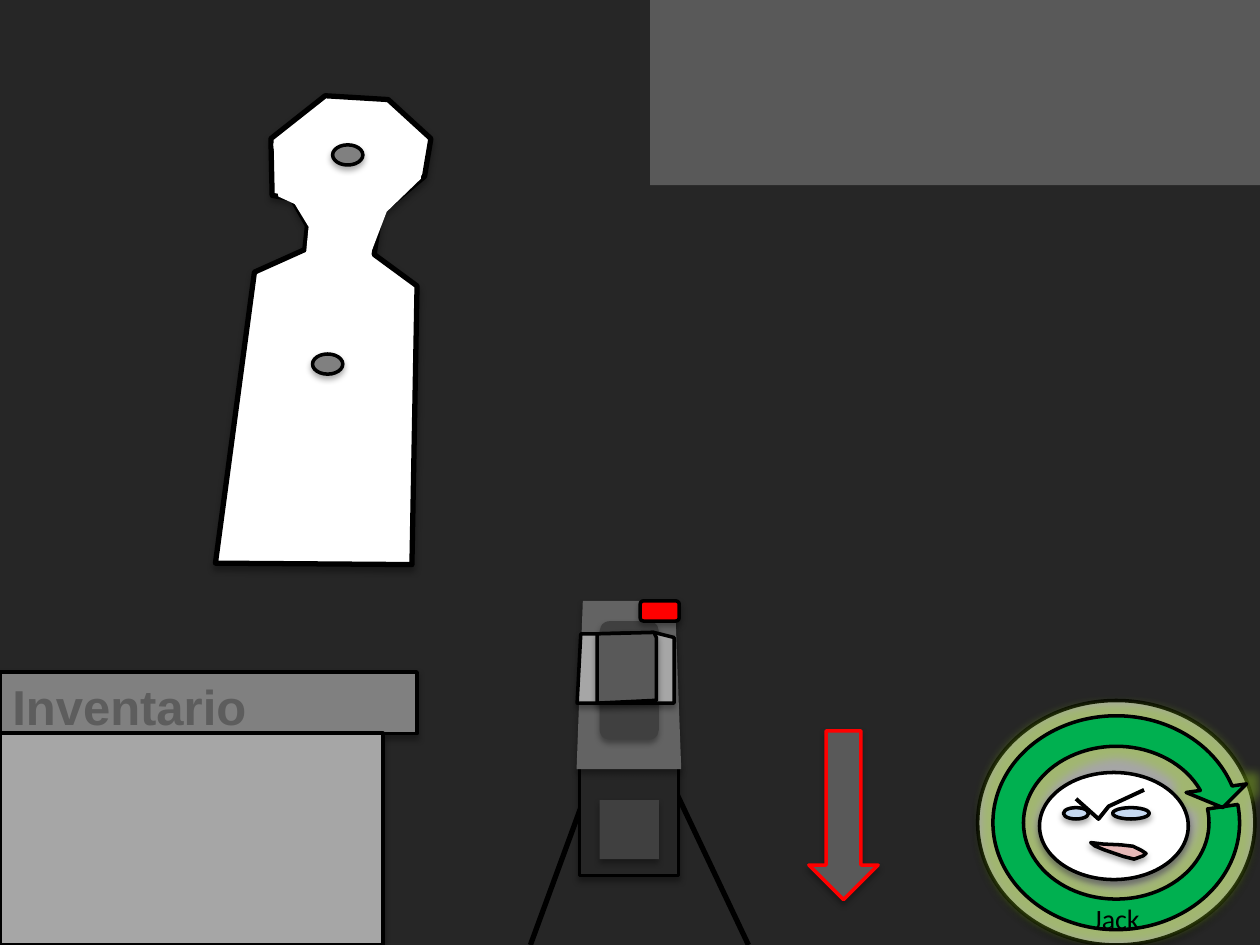
from lxml.etree import SubElement
from pptx import Presentation
from pptx.dml.color import RGBColor
from pptx.enum.shapes import MSO_CONNECTOR, MSO_SHAPE as PRESET
from pptx.enum.text import MSO_ANCHOR, PP_ALIGN
from pptx.oxml.ns import qn
from pptx.util import Pt

BLACK = RGBColor(0x00, 0x00, 0x00)
WHITE = RGBColor(0xFF, 0xFF, 0xFF)
ROOM = RGBColor(0x26, 0x26, 0x26)
DARK = RGBColor(0x40, 0x40, 0x40)
SLATE = RGBColor(0x59, 0x59, 0x59)
LETTER = RGBColor(0x5D, 0x5D, 0x5D)
STEEL = RGBColor(0x63, 0x63, 0x63)
GREY = RGBColor(0x80, 0x80, 0x80)
LIGHT = RGBColor(0xA6, 0xA6, 0xA6)
RED = RGBColor(0xFF, 0x00, 0x00)
GREEN = RGBColor(0x00, 0xB0, 0x50)
EYE = RGBColor(0xC6, 0xD9, 0xF1)
LIP = RGBColor(0xE6, 0xB9, 0xB8)

prs = Presentation()
prs.slide_width, prs.slide_height = Pt(720), Pt(540)
slide = prs.slides.add_slide(prs.slide_layouts[6])
slide.background.fill.solid()
slide.background.fill.fore_color.rgb = ROOM
shapes = slide.shapes


def draw(geometry, place, fill, line=BLACK, width=2, shadow=True):
    if geometry in ("closed", "open"):
        points = [(Pt(x), Pt(y)) for x, y in place]
        builder = shapes.build_freeform(*points[0], scale=1.0)
        builder.add_line_segments(points[1:], close=geometry == "closed")
        shape = builder.convert_to_shape()
    else:
        shape = shapes.add_shape(geometry, *map(Pt, place))
    for paint, color in ((shape.fill, fill), (shape.line.fill, line)):
        if color is None:
            paint.background()
        else:
            paint.solid()
            paint.fore_color.rgb = color
    if line is not None:
        shape.line.width = Pt(width)
    shape.shadow.inherit = False
    if shadow:
        add_effect(shape, "a:outerShdw", BLACK, 32, blurRad=Pt(3.5),
                   dist=Pt(2.2), dir=90 * 60000, rotWithShape=0)
    return shape


def add_effect(shape, tag, color, alpha, **settings):
    effects = shape.element.spPr.find(qn("a:effectLst"))
    effect = SubElement(effects, qn(tag), {key: str(int(value)) for key, value in settings.items()})
    tint = SubElement(effect, qn("a:srgbClr"), val=str(color))
    SubElement(tint, qn("a:alpha"), val=str(alpha * 1000))
    return effect


draw(PRESET.RECTANGLE, (0, 384, 238.3, 35.3), GREY)
draw(PRESET.RECTANGLE, (0, 419, 218.9, 121), LIGHT)

target = [(123.1, 321.8), (235.4, 322.6), (238.3, 163.4), (213.8, 145.4), (217.4, 121.7),
          (242.6, 100.8), (246.2, 79.2), (221.8, 56.9), (185.8, 54.7), (154.8, 79.2),
          (155.5, 111.6), (167, 113.8), (175.7, 128.9), (174.2, 142.6), (145.4, 155.5)]
head = [(175, 144), (176.4, 129.6), (168.5, 116.6), (159.1, 112.3), (156.2, 82.1),
        (184.3, 60.5), (219.6, 60.5), (242.6, 82.1), (240.5, 102.2), (221, 121), (211.7, 145.4)]
draw("closed", target, WHITE, width=3)
draw("closed", head, WHITE, line=None, shadow=False)
for hole_left, hole_top in ((178.6, 202.3), (190.1, 82.8)):
    draw(PRESET.OVAL, (hole_left, hole_top, 17.3, 11.5), GREY)

badge = (558.7, 400.3, 158.4, 139.7)
draw(PRESET.OVAL, badge, LIGHT)
ring = draw(PRESET.CIRCULAR_ARROW, badge, GREEN, shadow=False)
for index, value in enumerate((0.125, 6.582, 204.577, 210.876, 0.125)):
    ring.adjustments[index] = value
add_effect(ring, "a:glow", RGBColor(0x9A, 0xD0, 0x21), 40, rad=Pt(11))
draw(PRESET.OVAL, (594, 441.4, 85, 61.2), WHITE)
mouth = draw("closed", [(622.8, 483.8), (630, 483.6), (640, 482.6), (647, 482.4), (652, 484),
                        (655, 485.4), (653.5, 487), (648.7, 489.6), (642.2, 488.9),
                        (631, 486.8), (625.5, 485.4)], LIP)
mouth.rotation = 8.3
draw("open", [(614.9, 456.5), (627.8, 468), (633.6, 460.8), (653.8, 451.4)], None,
     width=2.25, shadow=False)
for eye_left, eye_width in ((635.8, 20.9), (607.7, 14.4)):
    draw(PRESET.OVAL, (eye_left, 461.5, eye_width, 6.5), EYE)

for start_x, start_y, foot_x in ((382.3, 444.2, 427.7), (337.7, 445.7, 303.1)):
    leg = shapes.add_connector(MSO_CONNECTOR.STRAIGHT, Pt(start_x), Pt(start_y), Pt(foot_x), Pt(540))
    leg.line.color.rgb = BLACK
    leg.line.width = Pt(3)
    SubElement(leg.element.spPr, qn("a:effectLst"))

draw(PRESET.RECTANGLE, (331.2, 438.5, 56.6, 61.9), ROOM)
barrel = draw(PRESET.TRAPEZOID, (329.5, 343.4, 59.8, 96.2), STEEL, line=None)
barrel.adjustments[0] = 0.06
draw(PRESET.RECTANGLE, (342.7, 457.2, 33.8, 33.8), DARK, line=None)
draw(PRESET.ROUNDED_RECTANGLE, (342.7, 355, 33.8, 67.7), DARK, line=None)
draw("closed", [(329.8, 401.8), (385.2, 401.8), (385.2, 364.3), (373.7, 361.4),
                (342.7, 362.2), (331.9, 362.2)], LIGHT)
draw("closed", [(341.3, 362.2), (341.3, 401.8), (373, 400.3), (375.1, 400.3),
                (375.1, 364.3), (373.7, 361.4)], SLATE)
draw(PRESET.ROUNDED_RECTANGLE, (365.8, 343.4, 22.3, 11.5), RED)

pointer = draw(PRESET.UP_ARROW, (462.2, 417.6, 39.6, 96.5), SLATE, line=RED)
pointer.rotation = 180
draw(PRESET.RECTANGLE, (371.5, 0, 348.5, 105.8), SLATE, line=None, shadow=False)

labels = [
    ("Inventario", (0, 383, 154.8, 41), PP_ALIGN.LEFT,
     {"name": "Arial", "size": Pt(28), "bold": True}, LETTER),
    ("Jack", (598, 511, 79.8, 28), PP_ALIGN.CENTER,
     {"name": "Calibri", "size": Pt(16)}, BLACK),
]
for wording, place, alignment, font_format, color in labels:
    label = shapes.add_textbox(*map(Pt, place))
    frame = label.text_frame
    frame.word_wrap = True
    frame.vertical_anchor = MSO_ANCHOR.MIDDLE
    paragraph = frame.paragraphs[0]
    paragraph.text = wording
    paragraph.alignment = alignment
    for attribute, value in font_format.items():
        setattr(paragraph.font, attribute, value)
    paragraph.font.color.rgb = color

prs.save("out.pptx")
